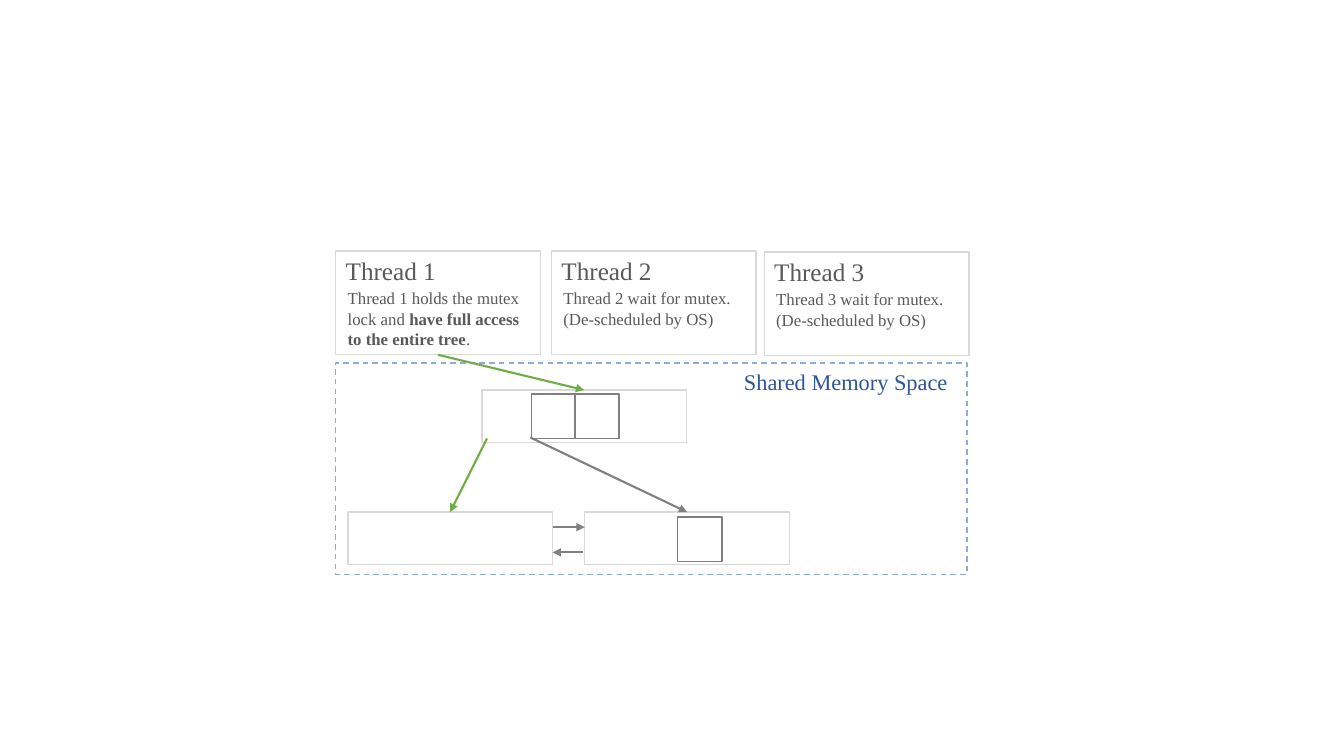
from lxml.etree import SubElement
from pptx import Presentation
from pptx.dml.color import RGBColor
from pptx.enum.dml import MSO_LINE
from pptx.enum.shapes import MSO_CONNECTOR, MSO_SHAPE
from pptx.enum.text import MSO_AUTO_SIZE
from pptx.oxml.ns import qn
from pptx.util import Inches, Pt

COLORS = {
    "text": "595959",
    "title": "2F5597",
    "space": "8FAADC",
    "node": "D9D9D9",
    "gray": "808080",
    "green": "70AD47",
}
FONT = "Times New Roman"
NODE_W, NODE_H = 2.03, 0.52
KEY = 0.44
WAIT = "Thread {} wait for mutex.\n(De-scheduled by OS)"
THREADS = [
    (3.33, 2.49, [[("Thread 1 holds the mutex lock and ", False),
                   ("have full access to the entire tree", True),
                   (".", False)]]),
    (5.47, 2.49, [[(line, False)] for line in WAIT.format(2).split("\n")]),
    (7.58, 2.5, [[(line, False)] for line in WAIT.format(3).split("\n")]),
]


def color(name):
    return RGBColor.from_string(COLORS[name])


def add_box(slide, x, y, w, h, line):
    box = slide.shapes.add_shape(
        MSO_SHAPE.RECTANGLE, Inches(x), Inches(y), Inches(w), Inches(h))
    box.shadow.inherit = False
    box.fill.background()
    box.line.color.rgb = color(line)
    box.line.width = Pt(1)
    return box


def add_node(slide, x, y):
    return add_box(slide, x, y, NODE_W, NODE_H, "node")


def add_text(slide, x, y, w, h, lines, size, ink="text", wrap=True):
    """Add a text box; each line is a list of (words, bold) pairs."""
    box = slide.shapes.add_textbox(
        Inches(x), Inches(y), Inches(w), Inches(h))
    frame = box.text_frame
    frame.word_wrap = wrap
    frame.auto_size = MSO_AUTO_SIZE.SHAPE_TO_FIT_TEXT
    for i, line in enumerate(lines):
        para = frame.add_paragraph() if i else frame.paragraphs[0]
        for words, bold in line:
            run = para.add_run()
            run.text = words
            run.font.name = FONT
            run.font.size = Pt(size)
            run.font.bold = bold
            run.font.color.rgb = color(ink)


def add_thread(slide, num, x, y, lines):
    box = add_box(slide, x, y, NODE_W, 1.03, "node")
    add_text(slide, x, y - 0.01, 1.11, 0.4,
             [[(f"Thread {num}", False)]], 18, wrap=False)
    add_text(slide, x + 0.02, y + 0.32, NODE_W, 0.5, lines, 12)
    return box


def add_arrow(slide, start, end, ink, source=None, target=None):
    """Draw an arrow, joined to the source's bottom and target's top."""
    arrow = slide.shapes.add_connector(
        MSO_CONNECTOR.STRAIGHT, *map(Inches, start + end))
    if source is not None:
        arrow.begin_connect(source, 2)
    if target is not None:
        arrow.end_connect(target, 0)
    arrow.line.color.rgb = color(ink)
    arrow.line.width = Pt(1.5)
    SubElement(arrow.line._get_or_add_ln(), qn("a:tailEnd"), type="triangle")
    SubElement(arrow._element.spPr, qn("a:effectLst"))


def main():
    deck = Presentation()
    deck.slide_width, deck.slide_height = Inches(13.33), Inches(7.5)
    slide = deck.slides.add_slide(deck.slide_layouts[6])

    space = add_box(slide, 3.33, 3.6, 6.26, 2.1, "space")
    space.line.dash_style = MSO_LINE.DASH
    add_text(slide, 7.28, 3.6, 2.35, 0.37,
             [[("Shared Memory Space", False)]], 16, "title")

    for x, y in [(5.27, 3.91), (5.7, 3.91), (6.72, 5.13)]:
        add_box(slide, x, y, KEY, KEY, "gray")
    root = add_node(slide, 4.78, 3.87)
    left = add_node(slide, 3.45, 5.08)
    right = add_node(slide, 5.8, 5.08)

    boxes = [add_thread(slide, num, *thread)
             for num, thread in enumerate(THREADS, 1)]

    add_arrow(slide, (4.37, 3.52), (5.8, 3.87), "green", boxes[0], root)
    add_arrow(slide, (4.83, 4.35), (4.46, 5.08), "green", target=left)
    add_arrow(slide, (5.26, 4.34), (6.82, 5.08), "gray", target=right)
    add_arrow(slide, (5.48, 5.23), (5.8, 5.23), "gray")
    add_arrow(slide, (5.78, 5.48), (5.48, 5.48), "gray")

    deck.save("out.pptx")


if __name__ == "__main__":
    main()
